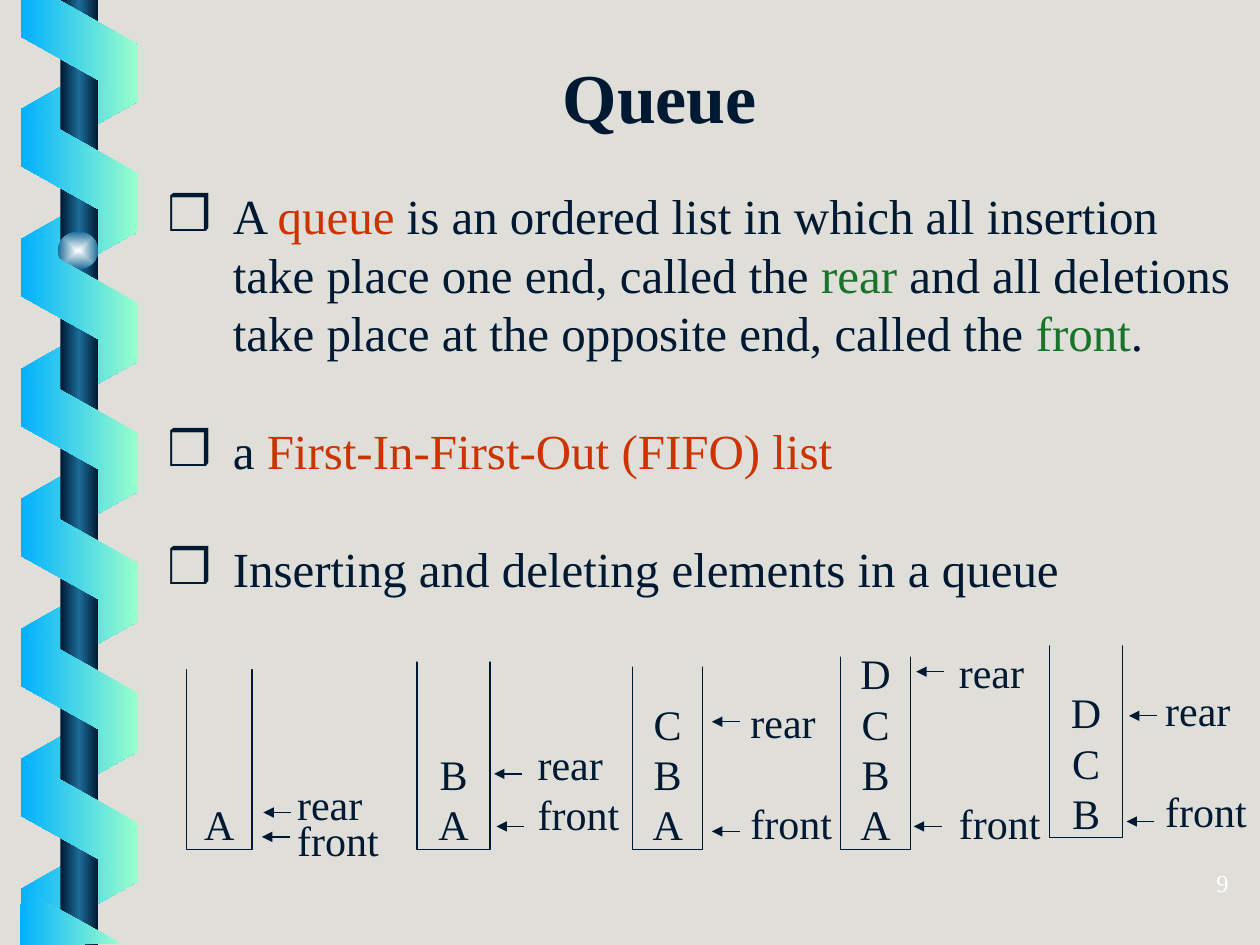
from lxml.etree import SubElement
from pptx import Presentation
from pptx.dml.color import RGBColor
from pptx.enum.shapes import MSO_CONNECTOR as LINE, MSO_SHAPE as SHAPE
from pptx.enum.text import MSO_ANCHOR as ANCHOR, MSO_AUTO_SIZE as AUTO, PP_ALIGN as ALIGN
from pptx.oxml import parse_xml
from pptx.oxml.ns import nsdecls, qn
from pptx.util import Cm, Pt

# Colours and type
NAVY = RGBColor(0x00, 0x19, 0x32)
STEEL = RGBColor(0x1C, 0x6D, 0x9A)
PEARL = RGBColor(0xFE, 0xFF, 0xFF)
WHITE = RGBColor(0xFF, 0xFF, 0xFF)
SKY = RGBColor(0x01, 0xB0, 0xFF)
MINT = RGBColor(0x99, 0xFF, 0xCC)
SAND = RGBColor(0xDF, 0xDE, 0xD9)
RED = RGBColor(0xCC, 0x33, 0x00)
GREEN = RGBColor(0x19, 0x73, 0x28)
FONT = "Times New Roman"
LEAD = 1.2

# Content
TITLE = "Queue"
POINTS = [
    [("A ", NAVY), ("queue", RED),
     (" is an ordered list in which all insertion take place one end, called the ", NAVY),
     ("rear", GREEN),
     (" and all deletions take place at the opposite end, called the ", NAVY),
     ("front", GREEN), (".", NAVY)],
    [("a ", NAVY), ("First-In-First-Out (FIFO) list", RED)],
    [("Inserting and deleting elements in a queue", NAVY)],
]
# Letters, box (left, top, width), cover (left, top), label (left, top),
# lines between the labels, line scale, arrow tips
QUEUES = [
    ("A", (3.76, 13.11, 1.32), (3.07, 12.8), (5.74, 15.88), 0, 0.7,
     [(5.31, 16.38), (5.28, 16.87)]),
    ("BA", (8.41, 13.11, 1.47), (7.37, 12.65), (10.59, 14.76), 0, 1,
     [(9.96, 15.6), (10.01, 16.66)]),
    ("CBA", (12.75, 13.11, 1.42), (12.12, 12.75), (14.88, 13.92), 1, 1,
     [(14.35, 14.55), (14.35, 16.76)]),
    ("DCBA", (16.94, 13.11, 1.42), (16.41, 12.55), (19.08, 12.9), 2, 1,
     [(18.47, 13.54), (18.42, 16.66)]),
    ("DCB", (21.16, 12.88, 1.47), (20.37, 12.32), (23.24, 13.67), 1, 1,
     [(22.76, 14.43), (22.71, 16.56)]),
]
BANDS = [
    [(0.43, 0), (0.43, 0.74), (2.77, 2.06), (2.77, 0.89), (1.19, 0)],
    [(2.44, 19.02), (0.43, 17.91), (0.41, 19.05)],
]
PITCH = 2.62

deck = Presentation()
deck.slide_width, deck.slide_height = Cm(25.4), Cm(19.05)
slide = deck.slides.add_slide(deck.slide_layouts[1])
shapes = slide.shapes
slide.background.fill.solid()
slide.background.fill.fore_color.rgb = SAND


def place(item, *box):
    item.left, item.top, item.width, item.height = map(Cm, box)


def style(para, size, color=NAVY, scale=1, before=0):
    para.line_spacing = Pt(round(size * LEAD * scale, 1))
    para.space_before = Pt(round(before, 1))
    font = para.font
    font.name, font.size, font.color.rgb = FONT, Pt(size), color


def plain(kind, *box):
    item = shapes.add_shape(kind, *map(Cm, box))
    item.shadow.inherit = False
    item.line.fill.background()
    return item


def blend(item, colors, round_path=False):
    last = len(colors) - 1
    stops = "".join(
        f'<a:gs pos="{100000 * i // last}"><a:srgbClr val="{c}"/></a:gs>'
        for i, c in enumerate(colors))
    way = '<a:lin ang="10800000" scaled="0"/>'
    if round_path:
        way = ('<a:path path="rect"><a:fillToRect l="50000" t="50000" '
               'r="50000" b="50000"/></a:path>')
    item.fill.background()
    old = item.element.spPr.find(qn("a:noFill"))
    new = parse_xml(f'<a:gradFill {nsdecls("a")} rotWithShape="0">'
                    f'<a:gsLst>{stops}</a:gsLst>{way}</a:gradFill>')
    item.element.spPr.replace(old, new)


def coil(top, count, turn, colors, flip=False):
    for i in range(count):
        band = plain(SHAPE.PARALLELOGRAM, 0.36, top + i * PITCH, 2.49, 2.36)
        band.adjustments[0] = 0.56
        band.rotation = turn
        if flip:
            band.element.spPr.xfrm.set("flipH", "1")
        blend(band, colors)


def arrow(tip, y):
    line = shapes.add_connector(LINE.STRAIGHT, Cm(tip + 0.56), Cm(y), Cm(tip), Cm(y))
    line.line.color.rgb, line.line.width = NAVY, Pt(0.75)
    SubElement(line.line._get_or_add_ln(), qn("a:tailEnd"), type="triangle")
    SubElement(line.element.spPr, qn("a:effectLst"))


# Spiral binding
coil(0.94, 7, 90, [SKY, MINT], flip=True)
blend(plain(SHAPE.RECTANGLE, 1.22, 0, 0.76, 19.05), [NAVY, STEEL, NAVY])
blend(plain(SHAPE.OVAL, 1.17, 4.67, 0.81, 0.76), [PEARL, STEEL], True)
coil(2.24, 6, 270, [MINT, SKY])
for points in BANDS:
    first, *rest = [(Cm(x), Cm(y)) for x, y in points]
    pen = shapes.build_freeform(*first)
    pen.add_line_segments(rest)
    end = pen.convert_to_shape()
    end.shadow.inherit = False
    end.line.fill.background()
    blend(end, [MINT, SKY])

# Title
head = shapes.title
place(head, 3.18, 0.94, 20.24, 1.96)
head.text_frame.text = TITLE
para = head.text_frame.paragraphs[0]
para.alignment = ALIGN.CENTER
style(para, 40)
para.font.bold = True

# Bullet list
body = slide.placeholders[1]
place(body, 3.12, 3.61, 22.28, 8.56)
frame = body.text_frame
frame.auto_size = AUTO.NONE
for i, runs in enumerate(POINTS):
    para = frame.add_paragraph() if i else frame.paragraphs[0]
    props = para._p.get_or_add_pPr()
    props.set("marL", str(Cm(1.32)))
    props.set("indent", str(-Cm(1.32)))
    SubElement(SubElement(props, qn("a:buClr")), qn("a:srgbClr"), val=str(NAVY))
    SubElement(props, qn("a:buChar"), char="❒")
    style(para, 28, before=28 * LEAD if i else 0)
    for text, color in runs:
        run = para.add_run()
        run.text = text
        run.font.color.rgb = color

# Queue states: box, open top, labels and arrows
for letters, box, cover, label, gap, scale, tips in QUEUES:
    cell = plain(SHAPE.RECTANGLE, *box, 4.01)
    cell.fill.background()
    cell.line.color.rgb, cell.line.width = NAVY, Pt(0.75)
    frame = cell.text_frame
    frame.word_wrap = False
    frame.vertical_anchor = ANCHOR.BOTTOM
    frame.margin_bottom = 0
    frame.text = "\n".join(letters)
    for para in frame.paragraphs:
        para.alignment = ALIGN.CENTER
        style(para, 24)

    lid = plain(SHAPE.RECTANGLE, *cover, 2.74, 0.69)
    lid.fill.solid()
    lid.fill.fore_color.rgb = SAND

    tall = 0.25 + (2 + gap) * 1.02 * scale
    note = shapes.add_textbox(*map(Cm, (*label, 2.16, tall))).text_frame
    note.word_wrap = False
    note.text = "rear\nfront"
    for para, before in zip(note.paragraphs, (0, gap * 24 * LEAD)):
        style(para, 24, scale=scale, before=before)
    for tip in tips:
        arrow(*tip)

# Page number
page = shapes.add_textbox(Cm(22.5), Cm(17.37), Cm(2.52), Cm(0.9)).text_frame
page.word_wrap = True
page.text = "9"
para = page.paragraphs[0]
para.alignment = ALIGN.RIGHT
style(para, 14, WHITE)

deck.save("out.pptx")
